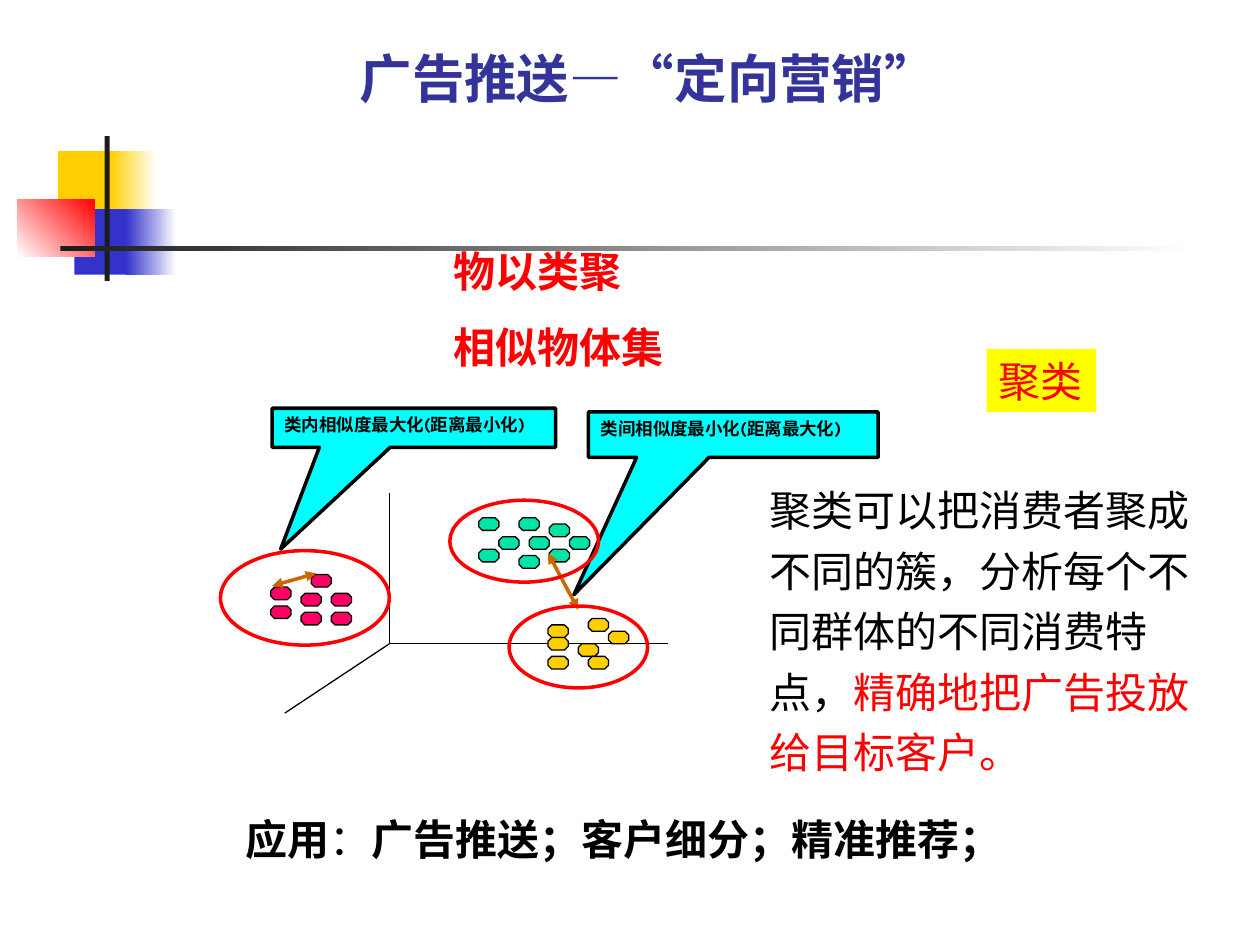
from lxml import etree
from pptx import Presentation
from pptx import util as u
from pptx.dml.color import RGBColor
from pptx.enum import shapes, text
from pptx.oxml.ns import qn

KIND = shapes.MSO_SHAPE
NOTO = "Noto Sans CJK SC"
RED, BLACK, CYAN, BROWN = "FF0000", "000000", "00FFFF", "CC6600"
GOLD, BLUE, DARK, WHITE = "FFCF01", "3333CC", "1C1C1C", "FFFFFF"
GROUPS = [
    {"dots": "00E4A8", "at": (2.05, 0.2), "ring": (1.82, 0.06, 1.18, 0.65),
     "grid": [(2, 3), (5, 3), (4, 0), (4, 6), (9, 3), (7, 1), (0, 0), (7, 5), (0, 5)]},
    {"dots": "FF0066", "at": (0.4, 0.65), "ring": (0, 0.46, 1.34, 0.75),
     "grid": [(0, 2), (3, 3), (3, 6), (6, 3), (4, 0), (6, 6), (0, 5)]},
    {"dots": GOLD, "at": (2.6, 1), "ring": (2.29, 0.9, 1.1, 0.65),
     "grid": [(0, 1), (6, 2), (3, 4), (0, 6), (4, 6), (0, 3), (4, 0)]},
]


def paint(code):
    """Turn a hex string into a colour."""
    return RGBColor.from_string(code)


def place(box):
    """Turn a box in inches into lengths."""
    return [u.Inches(n) for n in box]


def shift(box, part):
    """Move a part's corner by the corner of the box that holds it."""
    return (box[0] + part[0], box[1] + part[1], *part[2:])


def shape(slide, kind, box, fill=None, line=None, width=0.75):
    """Add a preset shape with a plain or two-colour fill."""
    form = slide.shapes.add_shape(kind, *place(box))
    form.shadow.inherit = False
    if isinstance(fill, tuple):
        form.fill.gradient()
        form.fill.gradient_angle = fill[2]
        for stop, code in zip(form.fill.gradient_stops, fill):
            stop.color.rgb = paint(code)
    elif fill:
        form.fill.solid()
        form.fill.fore_color.rgb = paint(fill)
    else:
        form.fill.background()
    if line:
        form.line.color.rgb = paint(line)
        form.line.width = u.Pt(width)
    else:
        form.line.fill.background()
    return form


def stroke(slide, start, end, code, width=0.75, arrow=False):
    """Add a straight line, with arrowheads at both ends if asked."""
    line = slide.shapes.add_connector(
        shapes.MSO_CONNECTOR.STRAIGHT, *place(start), *place(end))
    line.line.color.rgb = paint(code)
    line.line.width = u.Pt(width)
    if arrow:
        for tag in ("a:headEnd", "a:tailEnd"):
            etree.SubElement(line.line._get_or_add_ln(), qn(tag), type="triangle")
    etree.SubElement(line._element.spPr, qn("a:effectLst"))


def write(form, lines, wrap=True, space=None, align="LEFT", anchor="TOP"):
    """Fill a shape with paragraphs made of (words, size, face, colour, bold) runs."""
    frame = form.text_frame
    frame.word_wrap = wrap
    if not wrap:
        frame.auto_size = text.MSO_AUTO_SIZE.SHAPE_TO_FIT_TEXT
    frame.vertical_anchor = getattr(text.MSO_ANCHOR, anchor)
    for i, runs in enumerate(lines):
        para = frame.add_paragraph() if i else frame.paragraphs[0]
        para.alignment = getattr(text.PP_ALIGN, align)
        para._p.get_or_add_pPr().set("hangingPunct", "0")
        if space:
            para.line_spacing = space
        for words, size, face, code, bold in runs:
            run = para.add_run()
            run.text = words
            run.font.color.rgb = paint(code)
            style = {"size": u.Pt(size), "name": face, "bold": bold}
            for key, value in style.items():
                setattr(run.font, key, value)


def label(slide, box, lines, **style):
    """Add a text box."""
    write(slide.shapes.add_textbox(*place(box)), lines, **style)


def motif(slide, box):
    """Draw the coloured squares and the crossing bars."""
    parts = [
        ((0.32, 0.12, 0.48, 0.52), GOLD),
        ((0.74, 0.12, 0.36, 0.52), (GOLD, WHITE, 0)),
        ((0.45, 0.58, 0.46, 0.52), BLUE),
        ((0.86, 0.58, 0.4, 0.52), (BLUE, WHITE, 0)),
        ((0, 0.5, 0.61, 0.46), (WHITE, RED, 45)),
        ((0.69, 0, 0.04, 1.15), DARK),
        ((0.34, 0.87, 9, 0.04), (DARK, WHITE, 0)),
    ]
    for part, fill in parts:
        shape(slide, KIND.RECTANGLE, shift(box, part), fill)


def callout(slide, box, tip, words):
    """Draw a speech box whose tip is given as shares of its size."""
    form = shape(slide, KIND.RECTANGULAR_CALLOUT, box, CYAN, BLACK, 2)
    for i, share in enumerate(tip):
        form.adjustments[i] = share
    write(form, [[(words, 10, "Karla", BLACK, True)]])


def plot(slide, box):
    """Draw the axes, the three clusters and the distances between them."""
    hub = shift(box, (1.34, 1.2))
    for end in ((1.34, 0), (3.55, 1.2), (0.51, 1.75)):
        stroke(slide, hub, shift(box, end), BLACK)
    for group in GROUPS:
        left, top = shift(box, group["at"])
        for col, row in group["grid"]:
            dot = (left + col * 0.08, top + row * 0.05, 0.16, 0.1)
            shape(slide, KIND.OCTAGON, dot, group["dots"], BLACK)
    stroke(slide, shift(box, (2.84, 0.93)), shift(box, (2.6, 0.48)), BROWN, 2, True)
    callout(slide, shift(box, (2.92, -0.64, 2.3, 0.36)), (-0.55, 3.53),
            "类间相似度最小化(距离最大化)")
    for group in GROUPS:
        shape(slide, KIND.OVAL, shift(box, group["ring"]), None, RED, 2)
    stroke(slide, shift(box, (0.41, 0.74)), shift(box, (0.76, 0.64)), BROWN, 2, True)
    callout(slide, shift(box, (0.41, -0.67, 2.25, 0.31)), (-0.47, 3.11),
            "类内相似度最大化(距离最小化)")


def heads(slide, box):
    """Write the title, the motto and the topic tag."""
    navy = "333399"
    label(slide, shift(box, (0, 0, 8.75, 0.67)),
          [[("广告推送—“", 30, "Arial", navy, True),
            ("定向营销", 30, "Karla", navy, True),
            ("”", 30, "Arial", navy, True)]], align="CENTER", anchor="MIDDLE")
    label(slide, shift(box, (2.73, 1.42, 1.9, 1.3)),
          [[(words, 24, "Karla", RED, True)] for words in ("物以类聚", "相似物体集")],
          wrap=False, space=1.5)
    tag = shape(slide, KIND.RECTANGLE, shift(box, (7.06, 2.49, 0.87, 0.5)), "FFFF00")
    write(tag, [[("聚类", 24, NOTO, RED, False)]], wrap=False)


def notes(slide, box):
    """Write the explanation and the uses below it."""
    label(slide, shift(box, (4.16, 0, 3.8, 2.5)),
          [[("聚类可以把消费者聚成不同的簇，分析每个不同群体的不同消费特点，", 24, NOTO, BLACK, False),
            ("精确地把广告投放给目标客户。", 24, NOTO, RED, False)]], space=1.2)
    label(slide, shift(box, (0, 2.69, 6.85, 0.5)),
          [[("应用", 24, "Karla", BLACK, True),
            ("：", 24, "Karla", BLACK, False),
            ("广告推送；客户细分；精准推荐；", 24, "Karla", BLACK, True)]])


def main():
    """Build the slide and save it."""
    deck = Presentation()
    deck.slide_width, deck.slide_height = u.Inches(10), u.Inches(7.5)
    slide = deck.slides.add_slide(deck.slide_layouts[6])
    motif(slide, (0.14, 1.08))
    heads(slide, (0.77, 0.28))
    plot(slide, (1.75, 3.91))
    notes(slide, (1.85, 3.72))
    deck.save("out.pptx")


if __name__ == "__main__":
    main()
